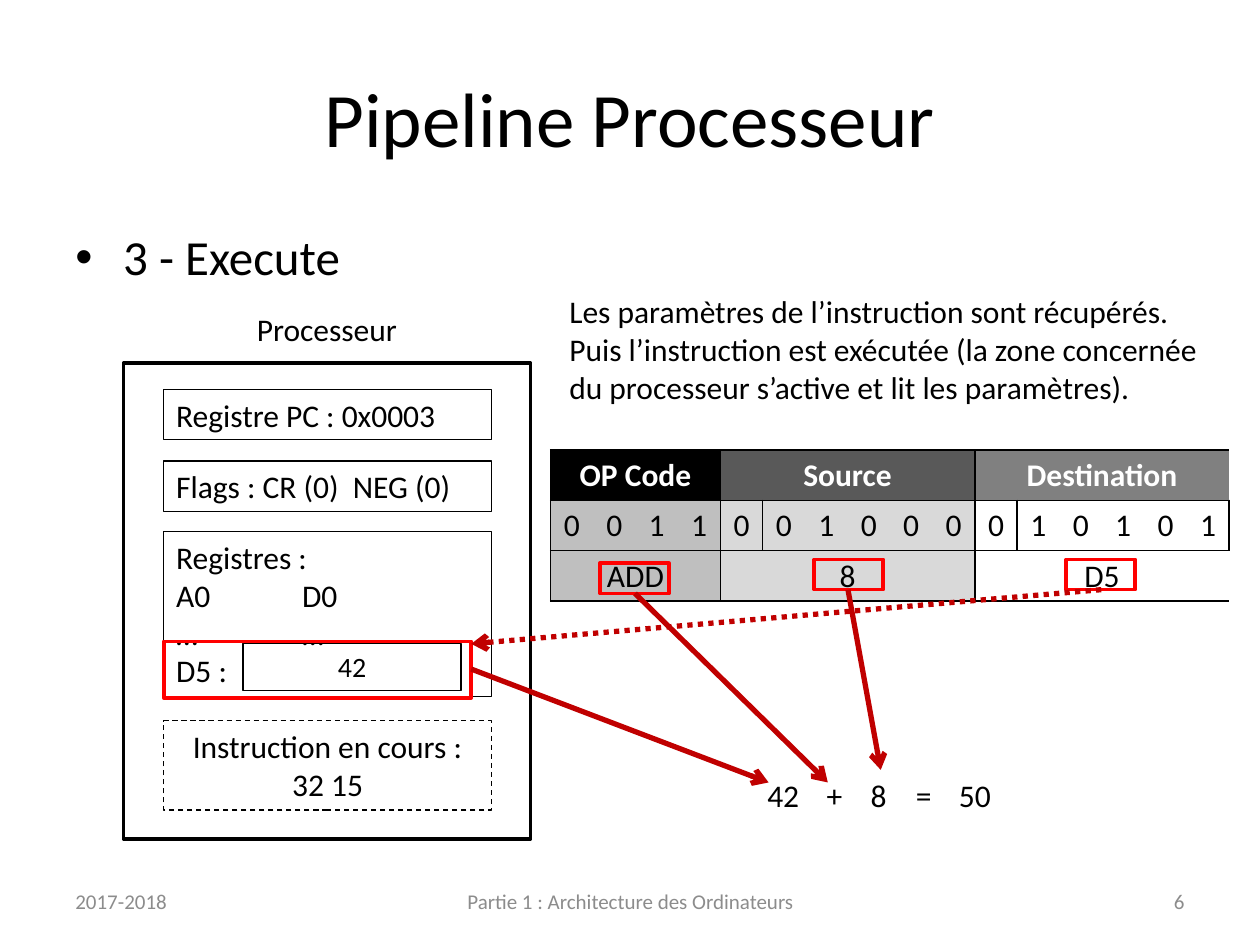
from lxml import etree
from pptx import Presentation
from pptx.dml.color import RGBColor
from pptx.enum.dml import MSO_LINE
from pptx.enum.shapes import MSO_CONNECTOR, MSO_SHAPE
from pptx.enum.text import MSO_ANCHOR, PP_ALIGN
from pptx.oxml.ns import qn
from pptx.util import Inches, Pt

BLACK = RGBColor(0x00, 0x00, 0x00)
WHITE = RGBColor(0xFF, 0xFF, 0xFF)
RED = RGBColor(0xFF, 0x00, 0x00)
DARK_RED = RGBColor(0xC0, 0x00, 0x00)
FOOTER_GRAY = RGBColor(0x8C, 0x8C, 0x8C)
SOURCE_DARK = RGBColor(0x59, 0x59, 0x59)
DESTINATION_DARK = RGBColor(0x80, 0x80, 0x80)
OPCODE_LIGHT = RGBColor(0xBF, 0xBF, 0xBF)
SOURCE_LIGHT = RGBColor(0xD9, 0xD9, 0xD9)
LEFT, CENTER, RIGHT = PP_ALIGN.LEFT, PP_ALIGN.CENTER, PP_ALIGN.RIGHT
TOP, MIDDLE = MSO_ANCHOR.TOP, MSO_ANCHOR.MIDDLE
DASH, DOTS = MSO_LINE.DASH, MSO_LINE.ROUND_DOT
RECTANGLE, STRAIGHT = MSO_SHAPE.RECTANGLE, MSO_CONNECTOR.STRAIGHT


def write(text_frame, paragraphs, size=18, align=LEFT, color=BLACK, anchor=TOP, bold=False):
    text_frame.word_wrap = True
    text_frame.vertical_anchor = anchor
    for index, text in enumerate(paragraphs):
        paragraph = text_frame.add_paragraph() if index else text_frame.paragraphs[0]
        paragraph.text = text
        paragraph.alignment = align
        font_format = {"name": "Calibri", "size": Pt(size), "bold": bold}
        for run in paragraph.runs:
            for name, value in font_format.items():
                setattr(run.font, name, value)
            run.font.color.rgb = color


def add_frame(position, color=BLACK, width=0.75, dash=None):
    """Add an unfilled, outlined rectangle."""
    shape = slide.shapes.add_shape(RECTANGLE, *map(Inches, position))
    shape.shadow.inherit = False
    shape.fill.background()
    shape.line.color.rgb = color
    shape.line.width = Pt(width)
    shape.line.dash_style = dash
    return shape


presentation = Presentation()
presentation.slide_width = Inches(10)
presentation.slide_height = Inches(7.5)
slide = presentation.slides.add_slide(presentation.slide_layouts[6])

# Title, bullet, footer and captions
footer = {"size": 12, "color": FOOTER_GRAY, "anchor": MIDDLE}
texts = {
    "title": ((0.5, 0.3, 9, 1.25), ["Pipeline Processeur"],
              {"size": 44, "align": CENTER, "anchor": MIDDLE}),
    "step": ((0.5, 1.75, 9, 4.95), ["3 - Execute"], {"size": 28}),
    "date": ((0.5, 6.95, 2.33, 0.4), ["2017-2018"], footer),
    "course": ((3.42, 6.95, 3.17, 0.4), ["Partie 1 : Architecture des Ordinateurs"],
               {**footer, "align": CENTER}),
    "page": ((7.17, 6.95, 2.33, 0.4), ["6"], {**footer, "align": RIGHT}),
    "explanation": ((4.42, 2.27, 5.31, 1.01), [
        "Les paramètres de l’instruction sont récupérés.",
        "Puis l’instruction est exécutée (la zone concernée du processeur "
        "s’active et lit les paramètres)."], {}),
    "processor": ((0.98, 2.41, 3.23, 0.4), ["Processeur"], {"align": CENTER}),
    "operation": ((5.63, 6.11, 2.72, 0.4), ["42\t+\t8\t=\t50"], {}),
}
boxes = {}
for name, (position, paragraphs, text_format) in texts.items():
    boxes[name] = slide.shapes.add_textbox(*map(Inches, position))
    write(boxes[name].text_frame, paragraphs, **text_format)

step_properties = boxes["step"].text_frame.paragraphs[0]._p.get_or_add_pPr()
step_properties.set("marL", str(Inches(0.38)))
step_properties.set("indent", str(-Inches(0.38)))
etree.SubElement(step_properties, qn("a:buFont"), typeface="Arial")
etree.SubElement(step_properties, qn("a:buChar"), char="•")

operation = boxes["operation"].text_frame
operation.margin_left = Inches(0.46)
operation_properties = operation.paragraphs[0]._p.get_or_add_pPr()
tab_list = etree.SubElement(operation_properties, qn("a:tabLst"))
for stop in (0.47, 0.82, 1.18, 1.52):
    etree.SubElement(tab_list, qn("a:tab"), pos=str(Inches(stop)), algn="l")

# Processor and its registers
add_frame((0.98, 2.88, 3.23, 3.78), width=2)
for top, height, paragraphs, align, dash in (
    (3.09, 0.4, ["Registre PC : 0x0003"], LEFT, None),
    (3.66, 0.4, ["Flags : CR (0)  NEG (0)"], LEFT, None),
    (4.22, 1.31, ["Registres :\nA0\t\tD0", "…\t\t…\nD5 :"], LEFT, None),
    (5.72, 0.71, ["Instruction en cours :\n32 15"], CENTER, DASH),
):
    register = add_frame((1.3, top, 2.6, height), dash=dash)
    write(register.text_frame, paragraphs, align=align)
d5_value = add_frame((1.93, 5.11, 1.73, 0.37))
write(d5_value.text_frame, ["42"], size=16, align=CENTER)
add_frame((1.3, 5.09, 2.44, 0.45), RED, 2)

# Instruction table: first column, header, bits, decoded value, header fill, body fill
fields = (
    (0, "OP Code", "0011", "ADD", BLACK, OPCODE_LIGHT),
    (4, "Source", "001000", "8", SOURCE_DARK, SOURCE_LIGHT),
    (10, "Destination", "010101", "D5", DESTINATION_DARK, None),
)
COLUMNS = 16
table_shape = slide.shapes.add_table(3, COLUMNS, Inches(4.37), Inches(3.57), Inches(5.39), Inches(1.2))
table = table_shape.table
table.first_row = False
table.horz_banding = False
for column in table.columns:
    column.width = Inches(5.39 / COLUMNS)

field_edges = {0, 4, 10, COLUMNS}
bit_edges = field_edges | {5, 11}
for row, edges in enumerate((field_edges, bit_edges, field_edges)):
    for column in range(COLUMNS):
        properties = table.cell(row, column)._tc.get_or_add_tcPr()
        borders = {"L": column in edges, "R": column + 1 in edges, "T": True, "B": True}
        for side, visible in borders.items():
            border = etree.SubElement(properties, qn(f"a:ln{side}"), w=str(Pt(1)))
            fill = etree.SubElement(border, qn("a:solidFill" if visible else "a:noFill"))
            if visible:
                etree.SubElement(fill, qn("a:srgbClr"), val=str(BLACK))

for start, header, bits, value, header_fill, body_fill in fields:
    end = start + len(bits) - 1
    for row, texts_in_row, fill_color in (
        (0, [header], header_fill), (1, bits, body_fill), (2, [value], body_fill),
    ):
        for column in range(start, end + 1):
            cell = table.cell(row, column)
            if fill_color is None:
                cell.fill.background()
            else:
                cell.fill.solid()
                cell.fill.fore_color.rgb = fill_color
        if row != 1:
            table.cell(row, start).merge(table.cell(row, end))
        for offset, text in enumerate(texts_in_row):
            write(table.cell(row, start + offset).text_frame, [text], align=CENTER,
                  color=BLACK if row else WHITE, bold=row == 0)

# Highlights and data flow
for left, top in ((8.46, 4.44), (6.46, 4.44), (4.76, 4.47)):
    add_frame((left, top, 0.55, 0.24), RED, 2)

for points, dash in (
    ((8.74, 4.68, 3.74, 5.11), DOTS),
    ((3.74, 5.31, 6.1, 6.21), None),
    ((6.73, 4.68, 6.99, 6.11), None),
    ((5.04, 4.71, 6.57, 6.21), None),
):
    arrow = slide.shapes.add_connector(STRAIGHT, *map(Inches, points))
    arrow.line.color.rgb = DARK_RED
    arrow.line.width = Pt(3)
    arrow.line.dash_style = dash
    etree.SubElement(arrow.line._get_or_add_ln(), qn("a:tailEnd"), type="arrow")
    etree.SubElement(arrow._element.spPr, qn("a:effectLst"))

presentation.save("out.pptx")
